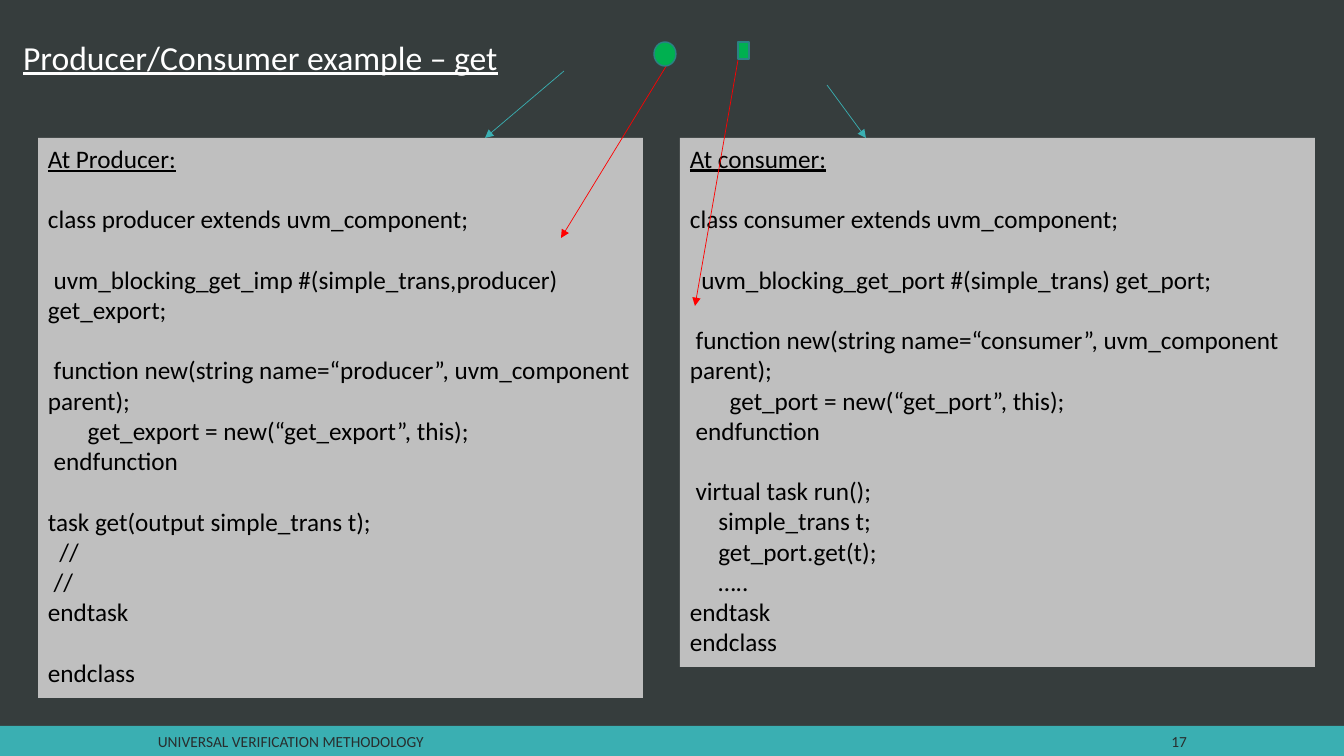
from dataclasses import dataclass

from lxml import etree
from pptx import Presentation
from pptx import util as u
from pptx.dml.color import RGBColor
from pptx.enum import shapes, text
from pptx.oxml import ns

PX = 12192000 / 1344


@dataclass(frozen=True)
class Theme:
    font: str = "Calibri"
    background: str = "363D3D"
    accent: str = "3AAFB2"
    outline: str = "2B8184"
    panel: str = "BFBFBF"
    code: str = "000000"
    title: str = "FFFFFF"
    footer: str = "282E2E"
    port: str = "00B050"
    pointer: str = "FF0000"
    title_size: int = 24
    code_size: int = 18
    footer_size: int = 11
    blank_line: float = 21.6


def px(*lengths):
    return [u.Emu(round(length * PX)) for length in lengths]


def apply(target, values):
    for name, value in values.items():
        setattr(target, name, value)


class SlideBuilder:
    def __init__(self, deck, theme):
        self.theme = theme
        self.slide = deck.slides.add_slide(deck.slide_layouts[5])
        self.paint(self.slide.background.fill, theme.background)

    def paint(self, fill, color):
        fill.solid()
        fill.fore_color.rgb = RGBColor.from_string(color)

    def words(self, paragraph, wording, size, color, underline=False):
        run = paragraph.add_run()
        run.text = wording
        apply(run.font, {"name": self.theme.font, "size": u.Pt(size),
                         "underline": underline, "bold": False})
        run.font.color.rgb = RGBColor.from_string(color)

    def title(self, wording, box):
        heading = self.slide.shapes.title
        apply(heading, dict(zip(("left", "top", "width", "height"), px(*box))))
        apply(heading.text_frame, {"word_wrap": True,
                                   "auto_size": text.MSO_AUTO_SIZE.NONE,
                                   "vertical_anchor": text.MSO_ANCHOR.TOP})
        paragraph = heading.text_frame.paragraphs[0]
        apply(paragraph, {"alignment": text.PP_ALIGN.LEFT, "line_spacing": 0.9})
        self.words(paragraph, wording, self.theme.title_size, self.theme.title, True)

    def shape(self, kind, box, fill, line=None):
        form = self.slide.shapes.add_shape(kind, *px(*box))
        form.shadow.inherit = False
        self.paint(form.fill, fill)
        if line:
            self.paint(form.line.fill, line)
            form.line.width = u.Pt(1)
        else:
            form.line.fill.background()
        return form

    def footer(self, wording, box, alignment):
        frame = self.slide.shapes.add_textbox(*px(*box)).text_frame
        apply(frame, {"word_wrap": True, "vertical_anchor": text.MSO_ANCHOR.MIDDLE})
        paragraph = frame.paragraphs[0]
        paragraph.alignment = alignment
        self.words(paragraph, wording, self.theme.footer_size, self.theme.footer)

    def listing(self, heading, blocks, box):
        theme = self.theme
        frame = self.shape(shapes.MSO_SHAPE.RECTANGLE, box, theme.panel).text_frame
        apply(frame, {"word_wrap": True, "vertical_anchor": text.MSO_ANCHOR.TOP,
                      "auto_size": text.MSO_AUTO_SIZE.SHAPE_TO_FIT_TEXT})
        first = frame.paragraphs[0]
        first.alignment = text.PP_ALIGN.LEFT
        self.words(first, heading, theme.code_size, theme.code, True)
        for block in blocks:
            for index, line in enumerate(block):
                paragraph = frame.add_paragraph()
                paragraph.alignment = text.PP_ALIGN.LEFT
                if index == 0:
                    paragraph.space_before = u.Pt(theme.blank_line)
                self.words(paragraph, line, theme.code_size, theme.code)

    def arrow(self, ends, color):
        link = self.slide.shapes.add_connector(shapes.MSO_CONNECTOR.STRAIGHT, *px(*ends))
        self.paint(link.line.fill, color)
        link.line.width = u.Pt(0.5)
        properties = link._element.spPr
        head = etree.SubElement(properties.find(ns.qn("a:ln")), ns.qn("a:tailEnd"))
        head.set("type", "triangle")
        etree.SubElement(properties, ns.qn("a:effectLst"))


PRODUCER = [
    ["class producer extends uvm_component;"],
    [" uvm_blocking_get_imp #(simple_trans,producer) get_export;"],
    [" function new(string name=“producer”, uvm_component parent);",
     "       get_export = new(“get_export”, this);",
     " endfunction"],
    ["task get(output simple_trans t);", "  //", " //", "endtask"],
    ["endclass"],
]
CONSUMER = [
    ["class consumer extends uvm_component;"],
    ["  uvm_blocking_get_port #(simple_trans) get_port;"],
    [" function new(string name=“consumer”, uvm_component parent);",
     "       get_port = new(“get_port”, this);",
     " endfunction"],
    [" virtual task run();", "     simple_trans t;", "     get_port.get(t);",
     "     …..", "endtask", "endclass"],
]


def main():
    deck = Presentation()
    deck.slide_width, deck.slide_height = px(1344, 756)
    theme = Theme()
    page = SlideBuilder(deck, theme)
    page.shape(shapes.MSO_SHAPE.RECTANGLE, (0, 726, 1344, 30), theme.accent)
    page.title("Producer/Consumer example – get", (13, 36, 590, 48))
    page.footer("UNIVERSAL VERIFICATION METHODOLOGY", (148, 728, 789, 26),
                text.PP_ALIGN.LEFT)
    page.footer("17", (1126, 728, 71, 26), text.PP_ALIGN.RIGHT)
    page.listing("At Producer:", PRODUCER, (38, 138, 605, 560))
    page.listing("At consumer:", CONSUMER, (680, 138, 635, 529))
    for ends, color in (
        ((564, 71, 485, 138), theme.accent),
        ((827, 85, 866, 138), theme.accent),
        ((670, 60, 561, 238), theme.pointer),
        ((738, 60, 695, 306), theme.pointer),
    ):
        page.arrow(ends, color)
    page.shape(shapes.MSO_SHAPE.OVAL, (654, 42, 22, 24), theme.port, theme.outline)
    page.shape(shapes.MSO_SHAPE.RECTANGLE, (738, 42, 11, 17), theme.port, theme.outline)
    deck.save("out.pptx")


if __name__ == "__main__":
    main()
